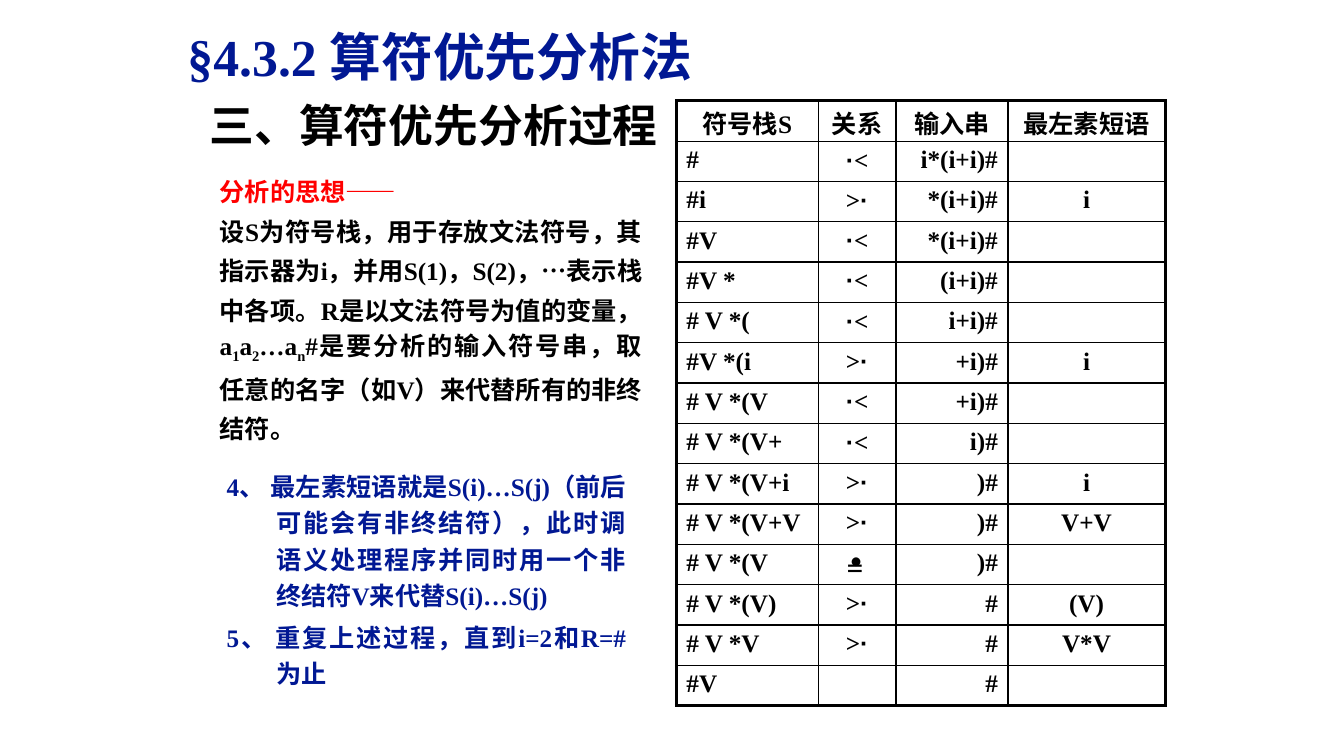
from pptx import Presentation
from pptx.dml.color import RGBColor
from pptx.enum.text import MSO_ANCHOR, MSO_AUTO_SIZE, PP_ALIGN as AL
from pptx.util import Pt
from lxml.etree import SubElement
from pptx.oxml.ns import qn

BLACK = RGBColor(0, 0, 0)
RED = RGBColor(0xFF, 0, 0)
NAVY = RGBColor(0x01, 0x18, 0x93)
SERIF = "Times New Roman"


def add_run(p, text, size=18, color=BLACK, font=SERIF, bold=True):
    r = p.add_run()
    r.text = text
    r.font.size = Pt(size)
    r.font.name = font
    r.font.bold = bold
    r.font.color.rgb = color
    return r


def add_box(left, top, width, height, wrap=True):
    tf = s.shapes.add_textbox(Pt(left), Pt(top), Pt(width), Pt(height)).text_frame
    tf.word_wrap = wrap
    return tf


prs = Presentation()
prs.slide_width, prs.slide_height = Pt(960), Pt(540)
s = prs.slides.add_slide(prs.slide_layouts[5])

title = s.shapes.title
title.left, title.top, title.width, title.height = Pt(126.7), Pt(5), Pt(696), Pt(62)
tf = title.text_frame
tf.auto_size = MSO_AUTO_SIZE.NONE
tf.vertical_anchor = MSO_ANCHOR.TOP
p = tf.paragraphs[0]
p.alignment = AL.LEFT
p.line_spacing = Pt(53.5)
add_run(p, "§4.3.2 算符优先分析法", 37, NAVY)

p = add_box(142.6, 46.8, 335.5, 65, wrap=False).paragraphs[0]
p.line_spacing = Pt(57.9)
add_run(p, "三、算符优先分析过程", 32)

rows = [
    ("符号栈S", "关系", "输入串", "最左素短语"),
    ("#", "·<", "i*(i+i)#", ""),
    ("#i", ">·", "*(i+i)#", "i"),
    ("#V", "·<", "*(i+i)#", ""),
    ("#V *", "·<", "(i+i)#", ""),
    ("# V *(", "·<", "i+i)#", ""),
    ("#V *(i", ">·", "+i)#", "i"),
    ("# V *(V", "·<", "+i)#", ""),
    ("# V *(V+", "·<", "i)#", ""),
    ("# V *(V+i", ">·", ")#", "i"),
    ("# V *(V+V", ">·", ")#", "V+V"),
    ("# V *(V", "", ")#", ""),
    ("# V *(V)", ">·", "#", "(V)"),
    ("# V *V", ">·", "#", "V*V"),
    ("#V", "", "#", ""),
]
widths = [101.5, 55.4, 80, 112.3]
aligns = [AL.LEFT, AL.CENTER, AL.RIGHT, AL.CENTER]
last_row, last_col = len(rows) - 1, len(widths) - 1
table = s.shapes.add_table(
    len(rows), len(widths), Pt(483.1), Pt(72), Pt(sum(widths)), Pt(28.8 * len(rows))
).table
for column, width in zip(table.columns, widths):
    column.width = Pt(width)
for i, row in enumerate(rows):
    table.rows[i].height = Pt(28.8)
    for j, text in enumerate(row):
        cell = table.cell(i, j)
        cell.margin_top = Pt(3.6 if i else 2.6)
        cell.margin_bottom = 0
        p = cell.text_frame.paragraphs[0]
        p.alignment = aligns[j] if i else AL.CENTER
        for part in text if j == 1 and i else [text] if text else []:
            add_run(p, part, font="Arial" if part == "·" else SERIF)
        tcPr = cell._tc.get_or_add_tcPr()
        outer = {"lnL": j == 0, "lnR": j == last_col, "lnT": i == 0, "lnB": i == last_row}
        for side, thick in outer.items():
            ln = SubElement(tcPr, qn(f"a:{side}"), w=str(Pt(2.25 if thick else 1)))
            fill = SubElement(ln, qn("a:solidFill"))
            SubElement(fill, qn("a:srgbClr"), val=str(BLACK))
        cell.fill.background()

add_run(add_box(597.6, 386.6, 34.6, 36).paragraphs[0], "=", 24, font="Calibri", bold=False)
add_run(add_box(599, 366.5, 26.6, 59.8, wrap=False).paragraphs[0], "·", 44, font="Calibri", bold=False)

tf = add_box(149.8, 115.9, 316.1, 204.5)
idea, body = tf.paragraphs[0], tf.add_paragraph()
add_run(idea, "分析的思想——", color=RED)
for text, is_sub in [
    ("设S为符号栈，用于存放文法符号，其指示器为i，并用S(1)，S(2)，…表示栈中各项。R是以文法符号为值的变量，a", False),
    ("1", True),
    ("a", False),
    ("2", True),
    ("…a", False),
    ("n", True),
    ("#是要分析的输入符号串，取任意的名字（如V）来代替所有的非终结符。", False),
]:
    r = add_run(body, text)
    if is_sub:
        r._r.get_or_add_rPr().set("baseline", "-25000")
for p in (idea, body):
    p.alignment = AL.JUSTIFY
    p.line_spacing = Pt(28.2)

tf = add_box(154.8, 328.3, 299.5, 167.8)
steps = [
    "4、 最左素短语就是S(i)…S(j)（前后可能会有非终结符），此时调语义处理程序并同时用一个非终结符V来代替S(i)…S(j)",
    "5、 重复上述过程，直到i=2和R=# 为止",
]
for p, text in zip((tf.paragraphs[0], tf.add_paragraph()), steps):
    p.alignment = AL.JUSTIFY
    p.line_spacing = Pt(26.1)
    p.space_after = Pt(3.6)
    pPr = p._p.get_or_add_pPr()
    pPr.set("marL", str(Pt(35.3)))
    pPr.set("indent", str(-Pt(35.3)))
    add_run(p, text, color=NAVY)

prs.save("out.pptx")
